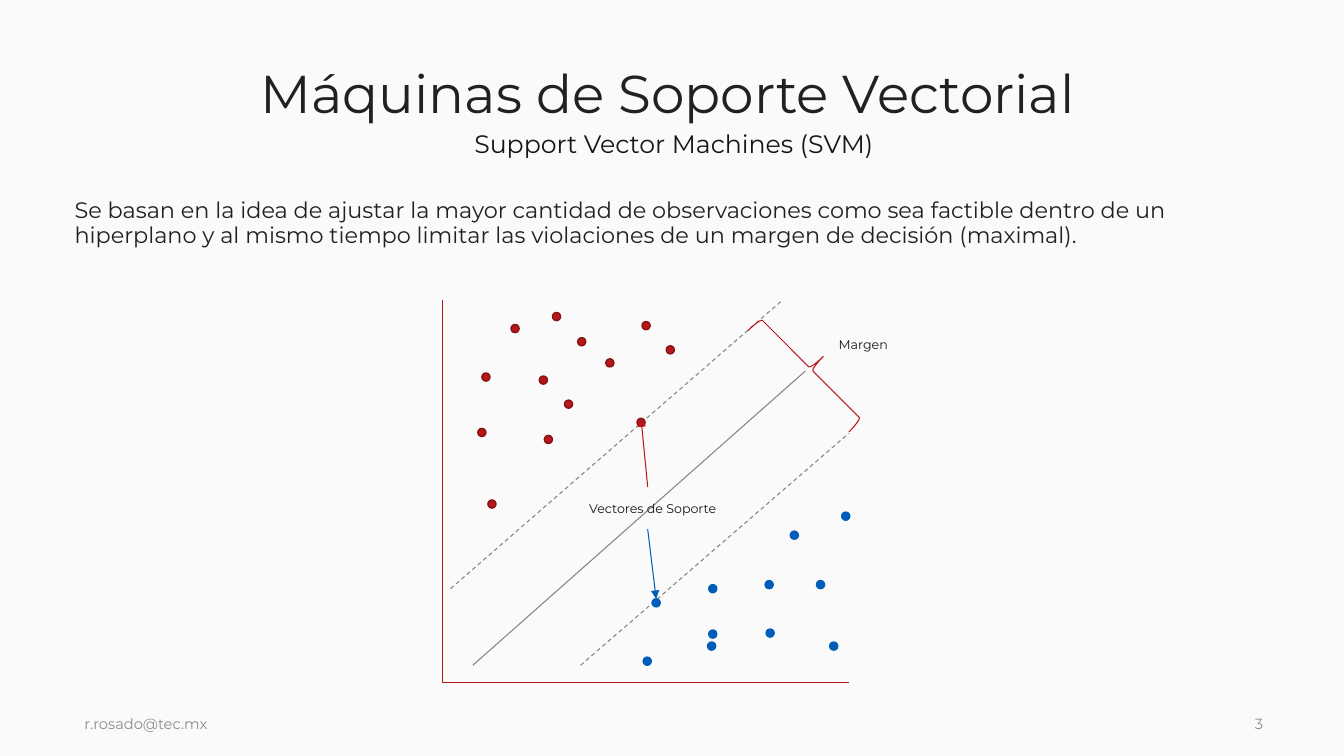
from lxml.etree import SubElement
from pptx import Presentation
from pptx.dml.color import RGBColor
from pptx.enum.dml import MSO_LINE
from pptx.enum.shapes import MSO_CONNECTOR, MSO_SHAPE
from pptx.enum.text import MSO_ANCHOR, MSO_AUTO_SIZE, PP_ALIGN
from pptx.oxml.ns import qn
from pptx.util import Pt

FONT = "Montserrat"
COLORS = {
    "background": "FAFAFA",
    "heading": "212121",
    "label": "171616",
    "footer": "8D8D8D",
    "red": "B6171A",
    "dark_red": "871113",
    "blue": "005CB9",
    "gray": "868382",
}
DOT_SIZE = 5.8
RED_SUPPORT = (455, 298.8)
BLUE_SUPPORT = (465.8, 427.7)
RED_POINTS = [
    (344.2, 266.4), (388.8, 311), (348.5, 357.1), (458.6, 229.7),
    (341.3, 306), (385.2, 268.6), (432.7, 256.3), (394.6, 223.2),
    (365, 231.8), (475.9, 247), (403.2, 285.8), (412.6, 241.2),
]
BLUE_POINTS = [
    (601.2, 365.8), (564.5, 379.4), (506.2, 417.6), (459.4, 469.4),
    (505.4, 458.6), (583.2, 414.7), (546.5, 414.7), (592.6, 458.6),
    (547.2, 449.3), (506.2, 450),
]
AXES = [(316.1, 214.6, 316.1, 487.4), (606.2, 487.4, 315.4, 487.4)]
HYPERPLANE = (337.7, 475.2, 575.3, 265)
MARGINS = [(321.8, 420.5, 558.7, 214.6), (414.7, 475.2, 606.2, 309.6)]


def color(name):
    return RGBColor.from_string(COLORS[name])


def write(holder, text, *, size, ink="label", align=PP_ALIGN.LEFT,
          anchor=MSO_ANCHOR.MIDDLE, spacing=None, insets=(7.2, 3.6, 7.2, 3.6)):
    frame = holder.text_frame
    frame.word_wrap = True
    frame.auto_size = MSO_AUTO_SIZE.NONE
    frame.vertical_anchor = anchor
    (frame.margin_left, frame.margin_top,
     frame.margin_right, frame.margin_bottom) = map(Pt, insets)
    paragraph = frame.paragraphs[0]
    paragraph.alignment = align
    paragraph.space_before = Pt(0)
    paragraph.line_spacing = spacing
    run = paragraph.add_run()
    run.text = text
    run.font.name = FONT
    run.font.size = Pt(size)
    run.font.color.rgb = color(ink)
    return paragraph


def place(holder, left, top, width, height):
    holder.left, holder.top = Pt(left), Pt(top)
    holder.width, holder.height = Pt(width), Pt(height)


def add_text(shapes, box, text, **style):
    label = shapes.add_textbox(*map(Pt, box))
    write(label, text, **style)
    return label


def add_line(shapes, ends, ink, dashed=False):
    line = shapes.add_connector(MSO_CONNECTOR.STRAIGHT, *map(Pt, ends))
    line.line.color.rgb = color(ink)
    line.line.width = Pt(0.75)
    if dashed:
        line.line.dash_style = MSO_LINE.DASH
    SubElement(line._element.spPr, qn("a:effectLst"))
    return line


def add_arrow(shapes, ends, ink, label, side, support):
    arrow = add_line(shapes, ends, ink)
    arrow.begin_connect(label, side)
    arrow.end_connect(support, 0)
    SubElement(arrow.line._get_or_add_ln(), qn("a:tailEnd"), type="triangle")


def add_dot(shapes, position, ink, outline):
    dot = shapes.add_shape(MSO_SHAPE.OVAL, *map(Pt, (*position, DOT_SIZE, DOT_SIZE)))
    dot.shadow.inherit = False
    dot.fill.solid()
    dot.fill.fore_color.rgb = color(ink)
    dot.line.color.rgb = color(outline)
    dot.line.width = Pt(1)
    return dot


def add_brace(shapes, box, ink):
    brace = shapes.add_shape(MSO_SHAPE.RIGHT_BRACE, *map(Pt, box))
    brace.shadow.inherit = False
    brace.rotation = 315
    brace.fill.background()
    brace.line.color.rgb = color(ink)
    brace.line.width = Pt(0.75)


def add_diagram(slide):
    shapes = slide.shapes.add_group_shape().shapes
    for axis in AXES:
        add_line(shapes, axis, "red")
    add_line(shapes, HYPERPLANE, "gray")
    for margin in MARGINS:
        add_line(shapes, margin, "gray", dashed=True)
    for point in RED_POINTS:
        add_dot(shapes, point, "red", "dark_red")
    for point in BLUE_POINTS:
        add_dot(shapes, point, "blue", "blue")
    red_support = add_dot(shapes, RED_SUPPORT, "red", "dark_red")
    blue_support = add_dot(shapes, BLUE_SUPPORT, "blue", "blue")

    label_style = dict(size=9, align=PP_ALIGN.CENTER, insets=(7.2, 0, 0, 0))
    vectors = add_text(shapes, (387.4, 347.8, 150.5, 30.2),
                       "Vectores de Soporte", **label_style)
    add_arrow(shapes, (462.6, 347.8, 457.9, 298.8), "red", vectors, 0, red_support)
    add_arrow(shapes, (462.6, 378, 468.7, 427.7), "blue", vectors, 2, blue_support)
    add_text(shapes, (537.8, 231.1, 150.5, 30.2), "Margen", **label_style)
    add_brace(shapes, (566.6, 212.4, 25.2, 102.2), "red")


def main():
    deck = Presentation()
    deck.slide_width, deck.slide_height = Pt(960), Pt(540)
    slide = deck.slides.add_slide(deck.slide_layouts[1])
    slide.background.fill.solid()
    slide.background.fill.fore_color.rgb = color("background")

    title, idea = slide.placeholders
    place(title, 46.1, 36.7, 861.8, 64.1)
    write(title, "Máquinas de Soporte Vectorial", size=38, ink="heading",
          align=PP_ALIGN.CENTER, spacing=0.9)
    place(idea, 46.1, 139, 861.8, 324)
    paragraph = write(
        idea,
        "Se basan en la idea de ajustar la mayor cantidad de observaciones como "
        "sea factible dentro de un hiperplano y al mismo tiempo limitar las "
        "violaciones de un margen de decisión (maximal).",
        size=16, ink="heading", anchor=MSO_ANCHOR.TOP, spacing=0.9)
    properties = paragraph._p.get_or_add_pPr()
    properties.set("marL", "0")
    properties.set("indent", "0")
    SubElement(properties, qn("a:buNone"))

    add_text(slide.shapes, (53.3, 493.9, 551.5, 46.1), "r.rosado@tec.mx",
             size=10.5, ink="footer")
    add_text(slide.shapes, (889.2, 493.9, 28.1, 46.1), "3", size=10.5, ink="footer")
    add_text(slide.shapes, (54.7, 87.8, 853.2, 28.8), "Support Vector Machines (SVM)",
             size=18, align=PP_ALIGN.CENTER, anchor=MSO_ANCHOR.TOP)
    add_diagram(slide)
    deck.save("out.pptx")


if __name__ == "__main__":
    main()
